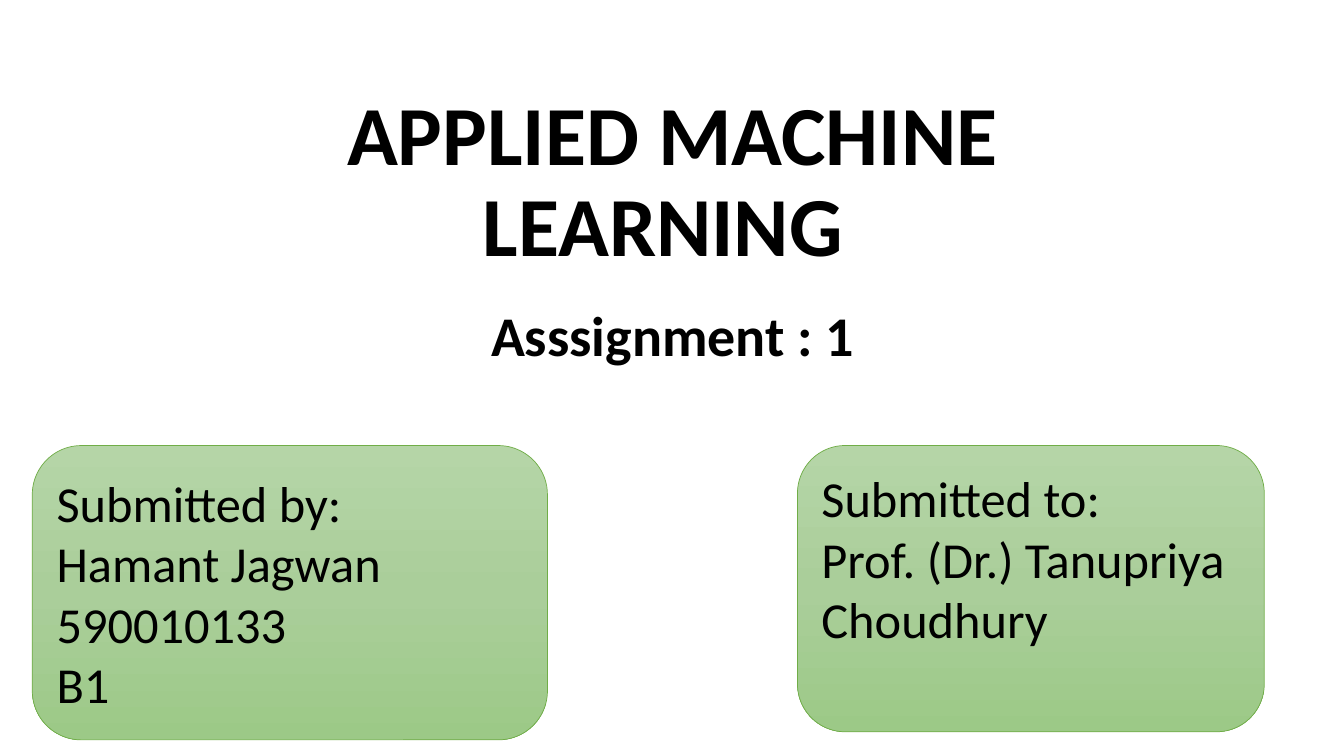
from copy import deepcopy

from pptx import Presentation
from pptx.dml.color import RGBColor
from pptx.enum import shapes, text
from pptx.oxml.ns import qn
from pptx.util import Inches, Pt

BLACK = RGBColor(0x00, 0x00, 0x00)
EDGE = RGBColor(0x70, 0xAD, 0x47)
SHADES = [
    (0, RGBColor(0xB5, 0xD5, 0xA7)),
    (0.5, RGBColor(0xAA, 0xCE, 0x9A)),
    (1, RGBColor(0x9C, 0xC9, 0x87)),
]

# lines, (left, top, width, height), format
HEADS = [
    (["APPLIED MACHINE LEARNING "], (1.67, 0.16, 10, 2.61),
     dict(size=60, anchor=text.MSO_ANCHOR.BOTTOM)),
    (["Asssignment : 1"], (1.67, 3.01, 10, 0.83),
     dict(size=40, before=10)),
]
# lines, (left, top, width, height), bottom inset
CARDS = [
    (["Submitted by:", "Hamant Jagwan", "590010133", "B1"],
     (0.32, 4.42, 5.11, 2.92), 0.05),
    (["Submitted to:", "Prof. (Dr.) Tanupriya Choudhury"],
     (7.91, 4.42, 4.63, 2.84), 0.66),
]


def write(shape, lines, size=36, bold=False, align=text.PP_ALIGN.LEFT,
          anchor=text.MSO_ANCHOR.TOP, gap=1.0, before=0, bottom=0.05):
    frame = shape.text_frame
    frame.word_wrap = True
    frame.vertical_anchor = anchor
    frame.margin_bottom = Inches(bottom)
    frame.text = "\n".join(lines)
    for para in frame.paragraphs:
        para.alignment = align
        para.line_spacing = gap
        para.space_before = Pt(before)
        font = para.runs[0].font
        font.name, font.size, font.bold = "Calibri", Pt(size), bold
        font.color.rgb = BLACK


def shade(shape):
    """Fill a shape with the green gradient, light at the top."""
    shape.fill.gradient()
    shape.fill.gradient_angle = 270
    stops = shape.element.find(".//" + qn("a:gsLst"))
    stops.insert(1, deepcopy(stops[0]))
    for stop, (place, color) in zip(shape.fill.gradient_stops, SHADES):
        stop.position = place
        stop.color.rgb = color


def main():
    deck = Presentation()
    deck.slide_width, deck.slide_height = Inches(13.33), Inches(7.5)
    slide = deck.slides.add_slide(deck.slide_layouts[6])

    for lines, spot, style in HEADS:
        head = slide.shapes.add_textbox(*map(Inches, spot))
        write(head, lines, bold=True, align=text.PP_ALIGN.CENTER,
              gap=0.9, **style)

    for lines, spot, bottom in CARDS:
        card = slide.shapes.add_shape(
            shapes.MSO_SHAPE.ROUNDED_RECTANGLE, *map(Inches, spot))
        card.shadow.inherit = False
        shade(card)
        card.line.color.rgb = EDGE
        card.line.width = Pt(0.5)
        write(card, lines, anchor=text.MSO_ANCHOR.MIDDLE, bottom=bottom)

    deck.save("out.pptx")


if __name__ == "__main__":
    main()
